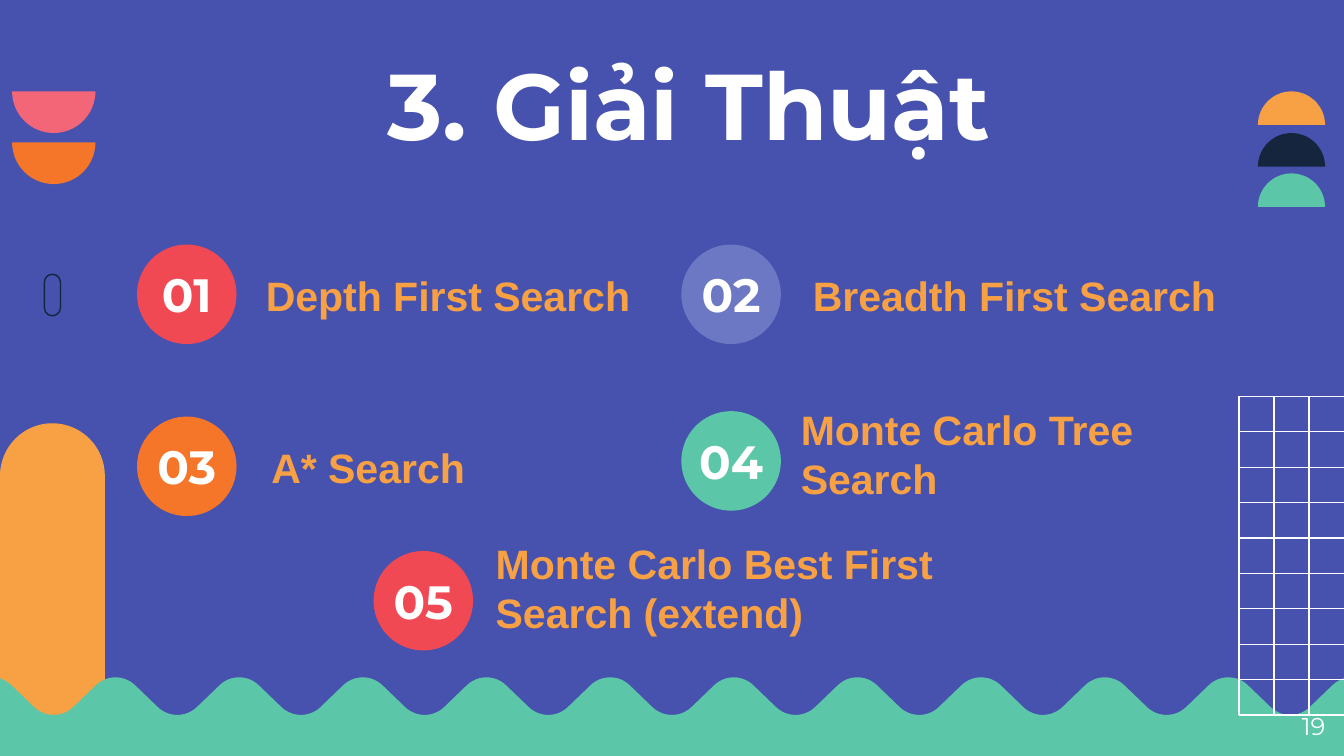
from math import cos, pi, sin

from pptx import Presentation
from pptx.dml.color import RGBColor
from pptx.enum.shapes import MSO_CONNECTOR as CONNECTOR, MSO_SHAPE as SHAPE
from pptx.enum.text import MSO_ANCHOR as ANCHOR, MSO_AUTO_SIZE as AUTO_SIZE, PP_ALIGN as ALIGN
from pptx.oxml.ns import qn
from pptx.util import Inches, Pt
from lxml.etree import SubElement

BLUE = RGBColor(0x46, 0x52, 0xAD)
LILAC = RGBColor(0x6C, 0x78, 0xC4)
AMBER = RGBColor(0xF8, 0xA1, 0x44)
ORANGE = RGBColor(0xF5, 0x76, 0x29)
PINK = RGBColor(0xF3, 0x66, 0x78)
RED = RGBColor(0xF1, 0x49, 0x54)
GREEN = RGBColor(0x5C, 0xC7, 0xA8)
NAVY = RGBColor(0x15, 0x25, 0x3D)
WHITE = RGBColor(0xFF, 0xFF, 0xFF)

WIDTH = 10
HEIGHT = WIDTH * 9 / 16

prs = Presentation()
prs.slide_width, prs.slide_height = Inches(WIDTH), Inches(HEIGHT)
slide = prs.slides.add_slide(prs.slide_layouts[5])
slide.background.fill.solid()
slide.background.fill.fore_color.rgb = BLUE
shapes = slide.shapes


def fill_outline(points, color):
    """Draw a closed, filled outline through points given in inches."""
    corners = [(Inches(x), Inches(y)) for x, y in points]
    builder = shapes.build_freeform(*corners[0])
    builder.add_line_segments(corners[1:])
    outline = builder.convert_to_shape()
    outline.shadow.inherit = False
    outline.fill.solid()
    outline.fill.fore_color.rgb = color
    outline.line.fill.background()


def set_text(holder, text, align, anchor, **font_format):
    frame = holder.text_frame
    frame.text = text
    frame_format = {"word_wrap": True, "auto_size": AUTO_SIZE.NONE, "vertical_anchor": anchor}
    for side in ("left", "top", "right", "bottom"):
        frame_format[f"margin_{side}"] = Inches(0.1)
    for key, value in frame_format.items():
        setattr(frame, key, value)
    paragraph = frame.paragraphs[0]
    paragraph.alignment = align
    font = paragraph.runs[0].font
    font.color.rgb = font_format.pop("color")
    for key, value in font_format.items():
        setattr(font, key, value)


# Column on the left, behind the waves
column = shapes.add_shape(SHAPE.ROUND_2_SAME_RECTANGLE,
                          Inches(0), Inches(3.15), Inches(0.78), Inches(2.33))
column.adjustments[0] = 0.5
column.shadow.inherit = False
column.fill.solid()
column.fill.fore_color.rgb = AMBER
column.line.fill.background()

# Waves: 90-degree arcs, crest and trough in turn, joined by straight slopes
CREST, TROUGH, HALF_WAVE, BEND = 5.04, 5.32, 0.46, 0.21
waves = [(0, HEIGHT)]
for index in range(23):
    center = -0.06 + HALF_WAVE * index
    for step in range(-6, 7):
        angle = step * pi / 24
        x = min(max(center + BEND * sin(angle), 0), WIDTH)
        depth = BEND * (1 - cos(angle))
        waves.append((x, TROUGH - depth if index % 2 else CREST + depth))
waves.append((WIDTH, HEIGHT))
fill_outline(waves, GREEN)

# Half discs: center x, flat edge y, radius, direction of the bulge (1 down, -1 up)
for center, edge, radius, bulge, color in [
    (0.4, 1.06, 0.31, 1, ORANGE),
    (0.4, 0.68, 0.31, 1, PINK),
    (9.61, 0.93, 0.25, -1, AMBER),
    (9.61, 1.24, 0.25, -1, NAVY),
    (9.61, 1.54, 0.25, -1, GREEN),
]:
    arc = [step * pi / 32 for step in range(33)]
    fill_outline([(center + radius * cos(a), edge + bulge * radius * sin(a)) for a in arc], color)

# Grid on the right
GRID_TOP, GRID_BOTTOM, GRID_LEFT = 2.95, 5.32, 9.22
row_height = (GRID_BOTTOM - GRID_TOP) / 9
rows = [GRID_TOP + row_height * i for i in range(10)]
columns = [GRID_LEFT + 0.26 * i for i in range(3)]
grid_lines = [(GRID_LEFT, y, WIDTH, y) for y in rows]
grid_lines += [(x, GRID_TOP, x, GRID_BOTTOM) for x in columns]
for ends in grid_lines:
    grid_line = shapes.add_connector(CONNECTOR.STRAIGHT, *map(Inches, ends))
    grid_line.line.color.rgb = WHITE
    grid_line.line.width = Pt(0.75)
    SubElement(grid_line._element.spPr, qn("a:effectLst"))

# Small capsule on the left
capsule = shapes.add_shape(SHAPE.ROUNDED_RECTANGLE,
                           Inches(0.33), Inches(2.04), Inches(0.12), Inches(0.31))
capsule.adjustments[0] = 0.5
capsule.shadow.inherit = False
capsule.fill.background()
capsule.line.color.rgb = NAVY
capsule.line.width = Pt(0.75)

# Title
title = shapes.title
title.left, title.top, title.width, title.height = map(Inches, (2.78, 0.25, 5.5, 1))
set_text(title, "3. Giải Thuật", ALIGN.LEFT, ANCHOR.TOP,
         name="Montserrat", size=Pt(50), bold=True, color=WHITE)

# Numbered algorithms: badge position, badge colour, label, label box
BADGE = 0.74
algorithms = [
    (1.02, 1.82, RED, "Depth First Search", (1.88, 1.74, 3.06, 0.74)),
    (5.07, 1.82, LILAC, "Breadth First Search", (5.95, 1.9, 3.88, 0.58)),
    (1.02, 3.1, ORANGE, "A* Search", (1.92, 3.18, 2.72, 0.58)),
    (5.07, 3.06, GREEN, "Monte Carlo Tree Search", (5.86, 3.03, 3.19, 0.81)),
    (2.78, 4.1, RED, "Monte Carlo Best First Search (extend)", (3.59, 4.1, 4.23, 0.74)),
]
for number, (left, top, color, name, label_box) in enumerate(algorithms, start=1):
    badge = shapes.add_shape(SHAPE.OVAL, Inches(left), Inches(top), Inches(BADGE), Inches(BADGE))
    badge.shadow.inherit = False
    badge.fill.solid()
    badge.fill.fore_color.rgb = color
    badge.line.fill.background()
    set_text(badge, f"{number:02}", ALIGN.CENTER, ANCHOR.MIDDLE,
             name="Montserrat", size=Pt(25), bold=True, color=WHITE)
    badge.text_frame.word_wrap = False

    label = shapes.add_textbox(*map(Inches, label_box))
    set_text(label, name, ALIGN.LEFT, ANCHOR.BOTTOM,
             name="Arial", size=Pt(22), bold=True, color=AMBER)

# Slide number
page_number = shapes.add_textbox(Inches(9.36), Inches(5.19), Inches(0.6), Inches(0.43))
set_text(page_number, "19", ALIGN.RIGHT, ANCHOR.TOP,
         name="Montserrat", size=Pt(13), color=WHITE)

prs.save("out.pptx")
